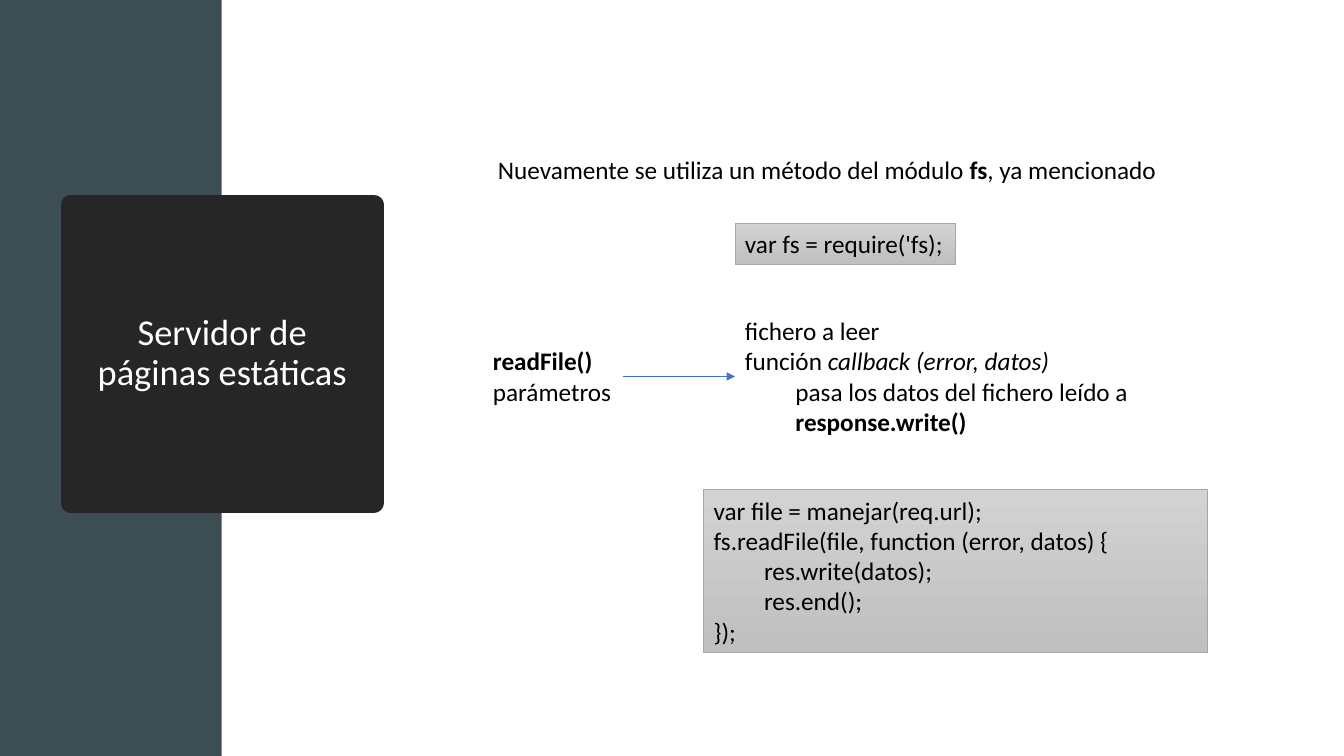
from dataclasses import dataclass

from lxml.etree import SubElement
from pptx import Presentation
from pptx.dml.color import RGBColor as RGB
from pptx.enum.shapes import MSO_CONNECTOR as LINE, MSO_SHAPE as SHAPE
from pptx.enum.text import MSO_ANCHOR as ANCHOR, MSO_AUTO_SIZE as FIT, PP_ALIGN as ALIGN
from pptx.oxml.ns import qn
from pptx.util import Inches, Pt

LEFT, RIGHT = 1, 3


@dataclass(frozen=True)
class Theme:
    font: str = "Calibri"
    body: float = 18
    title: float = 26
    hairline: float = 0.5
    title_line: float = 13.75
    ink: str = "000000"
    white: str = "FFFFFF"
    band: str = "3C4E53"
    dark: str = "262626"
    accent: str = "4472C4"
    code_top: str = "D2D2D2"
    code_bottom: str = "C0C0C0"
    code_line: str = "A5A5A5"


THEME = Theme()


def add_run(p, text, size=THEME.body, color=THEME.ink, bold=False, italic=False):
    r = p.add_run()
    r.text = text
    r.font.name = THEME.font
    r.font.size = Pt(size)
    r.font.color.rgb = RGB.from_string(color)
    r.font.bold = bold
    r.font.italic = italic


class Deck:
    CELL = Inches(0.1)

    def __init__(self, theme):
        self.theme = theme
        self.prs = Presentation()
        self.prs.slide_width = Inches(13.33)
        self.prs.slide_height = Inches(7.5)
        self.s = self.prs.slides.add_slide(self.prs.slide_layouts[6])

    def grid(self, *cells):
        return [round(cell * self.CELL) for cell in cells]

    def paragraphs(self, tf, lines, wrap):
        tf.word_wrap = wrap
        tf.auto_size = FIT.SHAPE_TO_FIT_TEXT
        for i, (level, runs) in enumerate(lines):
            p = tf.add_paragraph() if i else tf.paragraphs[0]
            p.alignment = ALIGN.LEFT
            if level:
                p.level = level
                pPr = p._p.get_or_add_pPr()
                pPr.set("marL", str(Inches(0.5) * level))
                pPr.set("indent", "0")
            for text, style in runs:
                add_run(p, text, **style)

    def rectangle(self, box, fill, line=None, width=0):
        sp = self.s.shapes.add_shape(SHAPE.RECTANGLE, *self.grid(*box))
        sp.shadow.inherit = False
        sp.fill.solid()
        sp.fill.fore_color.rgb = RGB.from_string(fill)
        if line:
            sp.line.color.rgb = RGB.from_string(line)
            sp.line.width = Pt(width)
        else:
            sp.line.fill.background()
        return sp

    def title(self, box, text):
        t = self.theme
        sp = self.rectangle(box, t.dark, t.dark, t.title_line)
        SubElement(sp._element.spPr.find(qn("a:ln")), qn("a:round"))
        tf = sp.text_frame
        tf.word_wrap = True
        tf.vertical_anchor = ANCHOR.MIDDLE
        tf.margin_left = tf.margin_right = Inches(0.2)
        p = tf.paragraphs[0]
        p.alignment = ALIGN.CENTER
        p.line_spacing = 0.9
        add_run(p, text, size=t.title, color=t.white)

    def text(self, box, lines, wrap=True):
        sp = self.s.shapes.add_textbox(*self.grid(*box))
        self.paragraphs(sp.text_frame, lines, wrap)
        return sp

    def code(self, box, lines, wrap=True):
        t = self.theme
        sp = self.rectangle(box, t.code_top, t.code_line, t.hairline)
        sp.fill.gradient()
        sp.fill.gradient_angle = 270
        for stop, color in zip(sp.fill.gradient_stops, (t.code_top, t.code_bottom)):
            stop.color.rgb = RGB.from_string(color)
        self.paragraphs(sp.text_frame, lines, wrap)

    def arrow(self, start, end):
        c = self.s.shapes.add_connector(LINE.STRAIGHT, 0, 0, 0, 0)
        c.begin_connect(start, RIGHT)
        c.end_connect(end, LEFT)
        c.line.color.rgb = RGB.from_string(self.theme.accent)
        c.line.width = Pt(self.theme.hairline)
        spPr = c._element.spPr
        SubElement(spPr.find(qn("a:ln")), qn("a:tailEnd"), type="triangle")
        SubElement(spPr, qn("a:effectLst"))


def main():
    bold, italic = {"bold": True}, {"italic": True}
    deck = Deck(THEME)
    deck.rectangle((0, 0, 22, 75), THEME.band)
    deck.title((7, 20.3, 30.1, 29.6), "Servidor de páginas estáticas")
    details = deck.text((72.9, 30.8, 41.9, 13.1), [
        (0, [("fichero a leer", {})]),
        (0, [("función ", {}), ("callback (error, datos)", italic)]),
        (1, [("pasa los datos del fichero leído a ", {}), ("response.write()", bold)]),
    ])
    method = deck.text((47.9, 33.8, 13.9, 7.1), [
        (0, [("readFile()", bold)]),
        (0, [("parámetros", {})]),
    ], wrap=False)
    deck.arrow(method, details)
    deck.code((69.8, 48.5, 50, 16.2), [
        (0, [("var file = manejar(req.url);", {})]),
        (0, [("fs.readFile(file, function (error, datos) {", {})]),
        (1, [("res.write(datos);", {})]),
        (1, [("res.end();", {})]),
        (0, [("});", {})]),
    ])
    deck.text((48.4, 14.8, 68, 4), [
        (0, [("Nuevamente se utiliza un método del módulo ", {}), ("fs", bold),
             (", ya mencionado", {})]),
    ], wrap=False)
    deck.code((72.9, 22.2, 21.9, 4), [(0, [("var fs = require('fs);", {})])], wrap=False)
    deck.prs.save("out.pptx")


if __name__ == "__main__":
    main()
